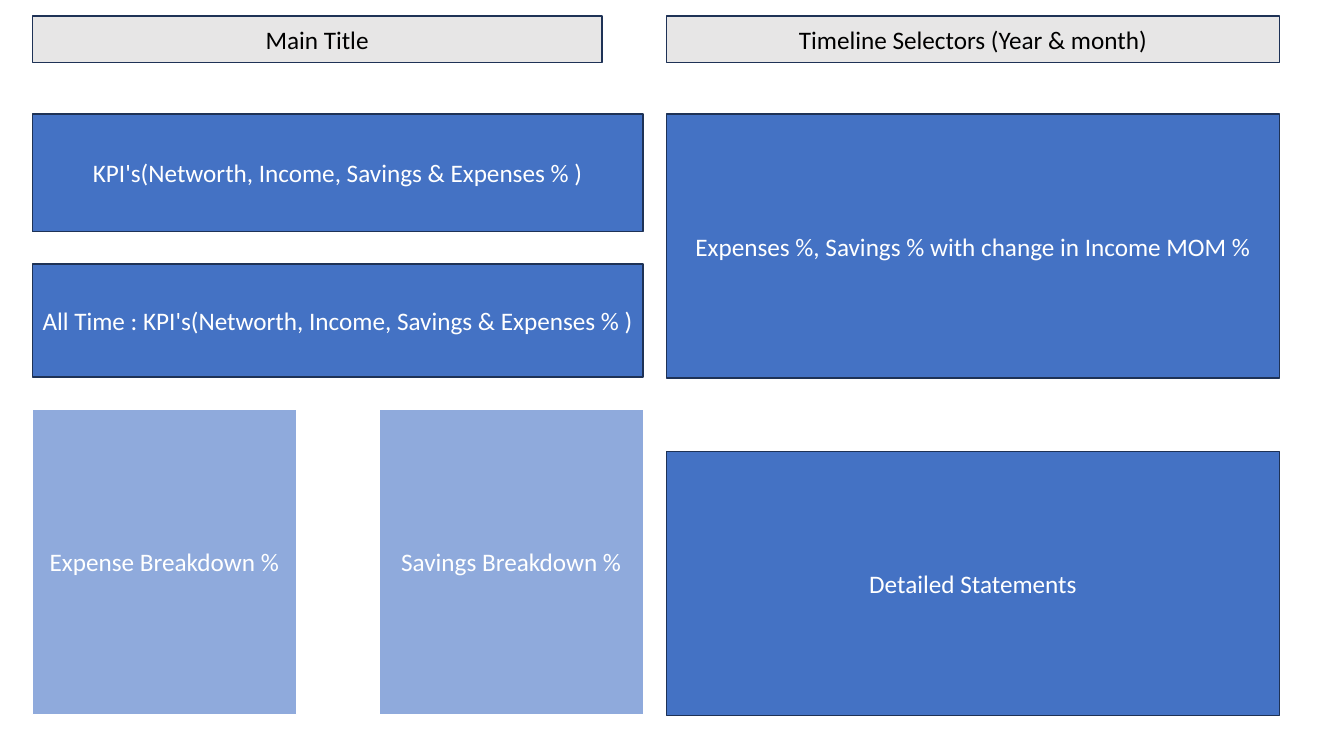
"""Build a wireframe slide of a personal finance dashboard."""
from pptx import Presentation
from pptx.dml.color import RGBColor
from pptx.enum.shapes import MSO_SHAPE
from pptx.enum.text import MSO_ANCHOR, PP_ALIGN
from pptx.util import Inches, Pt

RECT = MSO_SHAPE.RECTANGLE
MIDDLE = MSO_ANCHOR.MIDDLE
CENTER = PP_ALIGN.CENTER

THEME = {
    "font": "Calibri",
    "size": 18,
    "line_width": 1,
    "header": {"fill": "E7E6E6", "line": "1E3256", "text": "000000"},
    "panel": {"fill": "4472C4", "line": "1E3256", "text": "FFFFFF"},
    "breakdown": {"fill": "8FAADC", "line": "FFFFFF", "text": "FFFFFF"},
}

LEFT_COLUMN = [
    ("KPI's(Networth, Income, Savings & Expenses % )", 1.13, 1.17),
    ("All Time : KPI's(Networth, Income, Savings & Expenses % )", 2.62, 1.12),
]
RIGHT_COLUMN = [
    ("Expenses %,\u00a0Savings % with change in Income MOM %", 1.13, 2.62),
    ("Detailed Statements", 4.48, 2.62),
]
BREAKDOWNS = ["Expense Breakdown %", "Savings Breakdown %"]

LEFT_X, LEFT_W = 0.32, 6.06
RIGHT_X, RIGHT_W = 6.61, 6.08
HEADER_Y, HEADER_H = 0.16, 0.46
TITLE_W = 5.65
BREAKDOWN_Y, BREAKDOWN_W, BREAKDOWN_H = 4.06, 2.62, 3.03


def add_box(slide, text, box, style):
    """Add a rectangle with a centred label."""
    colors = THEME[style]
    sp = slide.shapes.add_shape(RECT, *map(Inches, box))
    sp.shadow.inherit = False
    sp.fill.solid()
    sp.fill.fore_color.rgb = RGBColor.from_string(colors["fill"])
    sp.line.color.rgb = RGBColor.from_string(colors["line"])
    sp.line.width = Pt(THEME["line_width"])
    tf = sp.text_frame
    tf.word_wrap = True
    tf.vertical_anchor = MIDDLE
    tf.text = text
    p = tf.paragraphs[0]
    p.alignment = CENTER
    font = p.runs[0].font
    font.name = THEME["font"]
    font.size = Pt(THEME["size"])
    font.color.rgb = RGBColor.from_string(colors["text"])


prs = Presentation()
prs.slide_width, prs.slide_height = Inches(13.33), Inches(7.5)
slide = prs.slides.add_slide(prs.slide_layouts[6])

add_box(slide, "Main Title", (LEFT_X, HEADER_Y, TITLE_W, HEADER_H), "header")
add_box(slide, "Timeline Selectors (Year & month)",
        (RIGHT_X, HEADER_Y, RIGHT_W, HEADER_H), "header")

for x, width, panels in ((LEFT_X, LEFT_W, LEFT_COLUMN), (RIGHT_X, RIGHT_W, RIGHT_COLUMN)):
    for text, y, height in panels:
        add_box(slide, text, (x, y, width, height), "panel")

step = LEFT_W - BREAKDOWN_W
for i, text in enumerate(BREAKDOWNS):
    box = (LEFT_X + i * step, BREAKDOWN_Y, BREAKDOWN_W, BREAKDOWN_H)
    add_box(slide, text, box, "breakdown")

prs.save("out.pptx")
